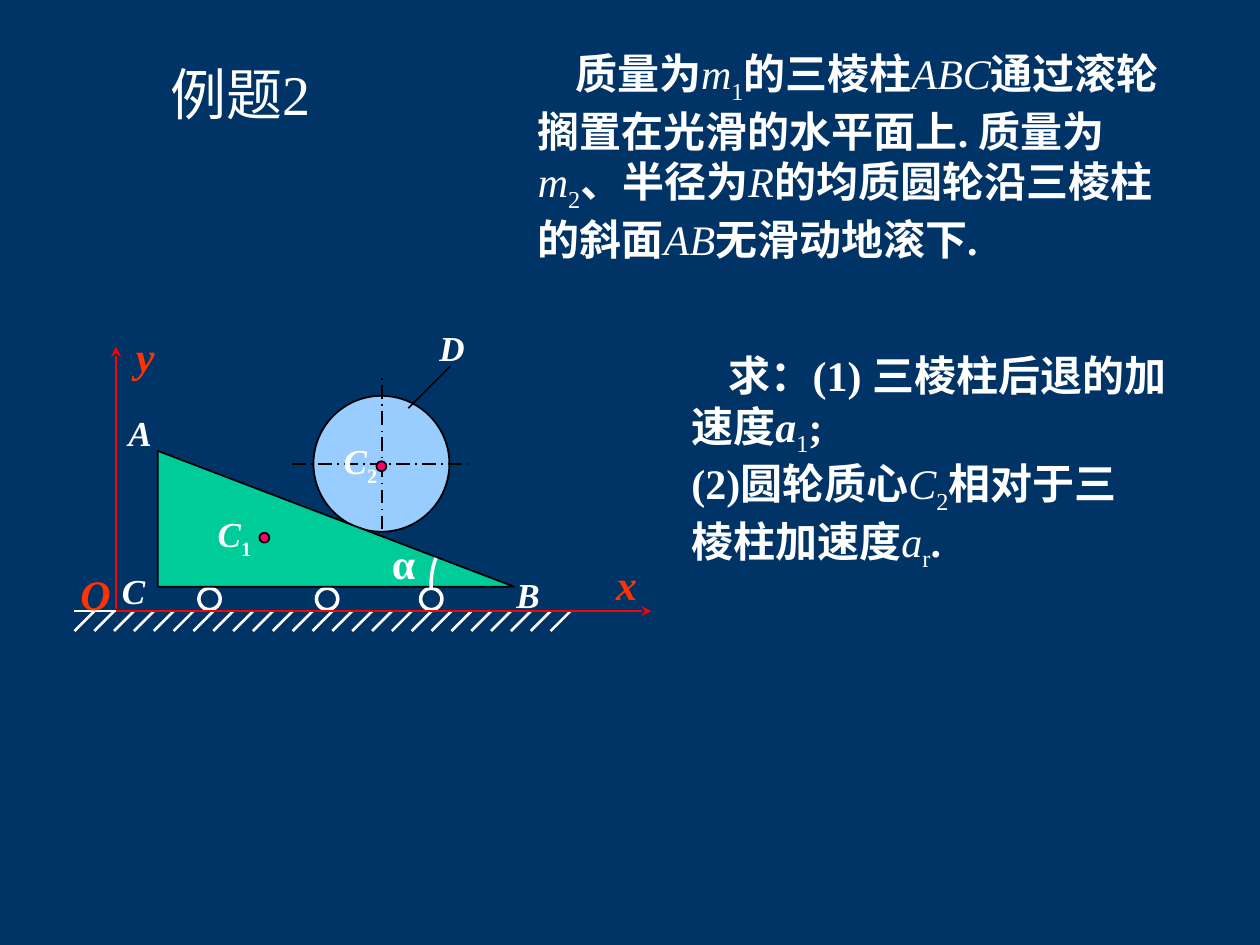
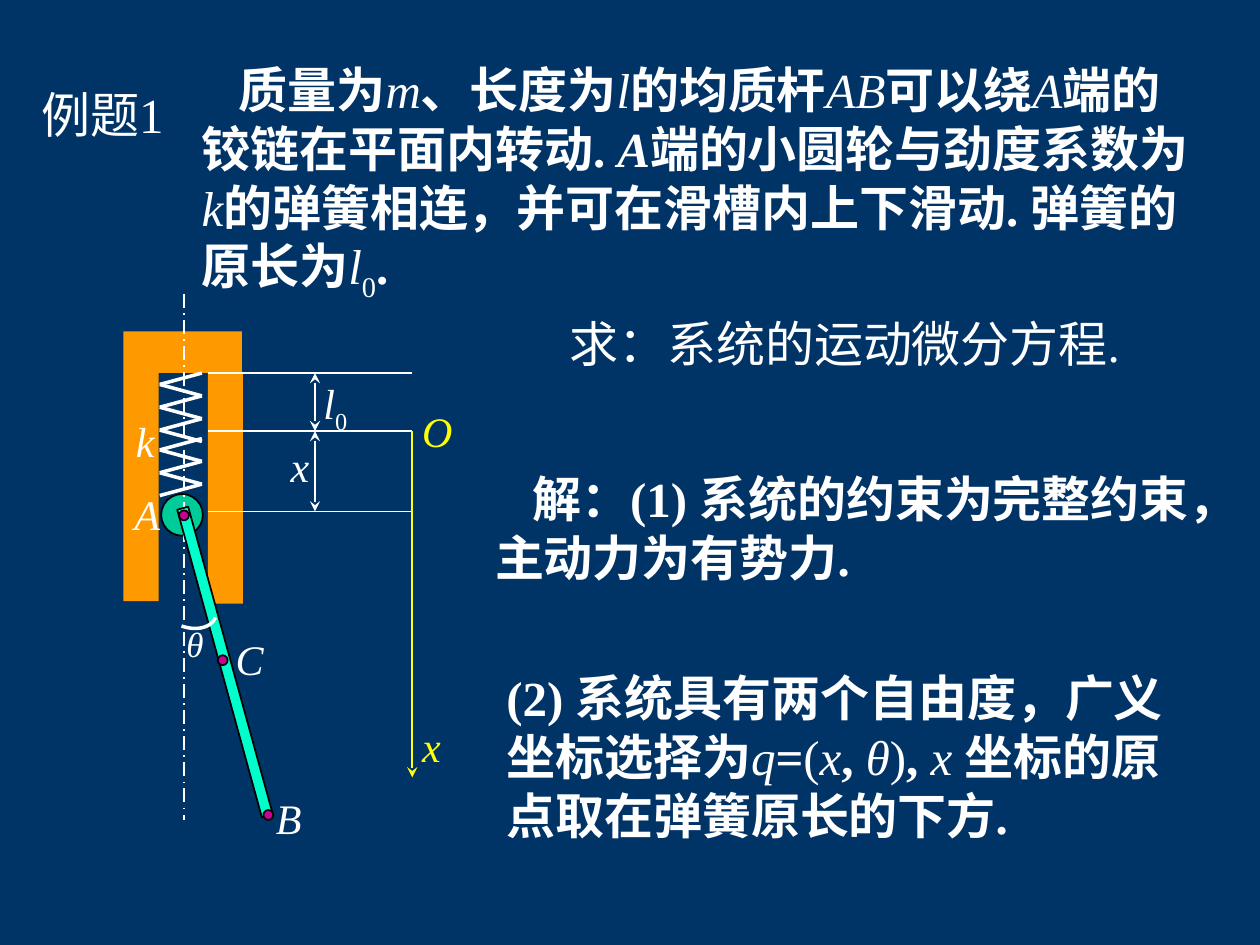
from lxml.etree import SubElement
from pptx import Presentation
from pptx.dml.color import RGBColor
from pptx.enum.dml import MSO_LINE
from pptx.enum.shapes import MSO_CONNECTOR, MSO_SHAPE
from pptx.enum.text import MSO_ANCHOR, MSO_AUTO_SIZE, PP_ALIGN
from pptx.oxml.ns import qn
from pptx.util import Cm, Pt

FONT = "Times New Roman"
COLORS = {
    "back": "003366", "white": "FFFFFF", "black": "000000", "red": "FF0000",
    "orange_red": "FF3300", "sky": "99CCFF", "green": "00CC99",
    "pink": "FF0066", "orange": "FF9900", "yellow": "FFFF00",
    "aqua": "00FFCC", "magenta": "CC0099",
}
FIRST_LINE = 0.75

# Content: a paragraph is a list of (text, style); b bold, i italic, s subscript
WEDGE = {
    "title": "例题2", "title_size": 32, "title_box": (3.18, 1.07, 3.35, 1.63),
    "size": 24, "body_box": (10.59, 0.84, 13.13, 4.37),
    "body": [[
        ("质量为", "b"), ("m", "i"), ("1", "s"), ("的三棱柱", "b"), ("ABC", "i"),
        ("通过滚轮搁置在光滑的水平面上. 质量为", "b"), ("m", "i"), ("2", "s"),
        ("、半径为", "b"), ("R", "i"), ("的均质圆轮沿三棱柱的斜面", "b"),
        ("AB", "i"), ("无滑动地滚下.", "b")]],
    "texts": [
        ((13.69, 6.93, 10.31, 4.37), FIRST_LINE, [
            [("求：(1) 三棱柱后退的加", "b")],
            [("速度", "b"), ("a", "bi"), ("1", "s"), (";", "b")],
            [("(2)圆轮质心", "b"), ("C", "i"), ("2", "s"), ("相对于三", "b")],
            [("棱柱加速度", "b"), ("a", "i"), ("r", "s"), (".", "b")]]),
    ],
    # x, y, size, color, runs
    "labels": [
        (12.17, 11.13, 24, "orange_red", [("x", "bi")]),
        (2.49, 6.53, 24, "orange_red", [("y", "bi")]),
        (1.37, 11.33, 24, "orange_red", [("O", "bi")]),
        (6.68, 8.74, 20, "white", [("C", "bi"), ("2", "bs")]),
        (4.14, 10.21, 20, "white", [("C", "bi"), ("1", "bs")]),
        (8.61, 6.45, 20, "white", [("D", "bi")]),
        (2.34, 8.18, 20, "white", [("A", "bi")]),
        (2.21, 11.35, 20, "white", [("C", "bi")]),
        (10.16, 11.43, 20, "white", [("B", "bi")]),
        (7.65, 10.72, 24, "white", [("α", "b")]),
    ],
}
PENDULUM = {
    "title": "例题1", "title_size": 28, "title_box": (0.58, 1.57, 3.0, 1.45),
    "size": 28, "body_box": (3.81, 1.07, 20.52, 5.0),
    "body": [[
        ("质量为", "b"), ("m", "i"), ("、长度为", "b"), ("l", "i"),
        ("的均质杆", "b"), ("AB", "i"), ("可以绕", "b"), ("A", "i"),
        ("端的铰链在平面内转动. ", "b"), ("A", "bi"),
        ("端的小圆轮与劲度系数为", "b"), ("k", "i"),
        ("的弹簧相连，并可在滑槽内上下滑动. 弹簧的原长为", "b"),
        ("l", "i"), ("0", "s"), (".", "b")]],
    "texts": [
        ((11.23, 6.2, 11.73, 1.45), 0, [[("求：系统的运动微分方程.", "")]]),
        ((9.73, 9.32, 15.04, 2.62), FIRST_LINE,
         [[("解：(1) 系统的约束为完整约束，主动力为有势力.", "b")]]),
        ((9.96, 13.34, 14.61, 3.81), 0, [[
            ("(2) 系统具有两个自由度，广义坐标选择为", "b"), ("q", "i"),
            ("=", "b"), ("(", ""), ("x", "i"), (", ", "b"), ("θ", "i"),
            (")", ""), (", ", "b"), ("x ", "i"),
            ("坐标的原点取在弹簧原长的下方.", "b")]]),
    ],
    "labels": [
        (3.51, 12.42, 20, "white", [("θ", "i")]),
        (8.26, 14.4, 24, "yellow", [("x", "i")]),
        (8.26, 8.05, 24, "yellow", [("O", "i")]),
        (5.61, 8.76, 24, "white", [("x", "i")]),
        (6.27, 7.49, 24, "white", [("l", "i"), ("0", "s")]),
        (2.46, 9.73, 24, "white", [("A", "i")]),
        (5.31, 15.85, 24, "white", [("B", "i")]),
        (4.5, 12.65, 24, "white", [("C", "i")]),
        (2.49, 8.26, 24, "white", [("k", "i")]),
    ],
}


def rgb(name):
    return RGBColor.from_string(COLORS[name])


def place(sp, box):
    sp.left, sp.top, sp.width, sp.height = (Cm(v) for v in box)


def write(sp, paragraphs, size=24, color="white", indent=0):
    """Fill a text frame; indent applies to the first line of the first paragraph."""
    tf = sp.text_frame
    tf.word_wrap = True
    tf.auto_size = MSO_AUTO_SIZE.NONE
    tf.vertical_anchor = MSO_ANCHOR.TOP
    for n, runs in enumerate(paragraphs):
        p = tf.add_paragraph() if n else tf.paragraphs[0]
        pPr = p._p.get_or_add_pPr()
        pPr.set("marL", "0")
        pPr.set("indent", str(0 if n else Cm(indent)))
        SubElement(pPr, qn("a:buNone"))
        p.alignment = PP_ALIGN.LEFT
        p.space_before = Pt(0)
        for text, style in runs:
            r = p.add_run()
            r.text = text
            r.font.name, r.font.size = FONT, Pt(size)
            r.font.bold, r.font.italic = "b" in style, "i" in style
            r.font.color.rgb = rgb(color)
            if "s" in style:
                r._r.get_or_add_rPr().set("baseline", "-25000")


def outline(sp, color, width):
    if color:
        sp.line.color.rgb = rgb(color)
        sp.line.width = Pt(width)
    else:
        sp.line.fill.background()


def shape(s, kind, box, fill=None, color="black", width=1, rotation=0):
    sp = s.shapes.add_shape(kind, *(Cm(v) for v in box))
    sp.shadow.inherit = False
    sp.rotation = rotation
    if fill:
        sp.fill.solid()
        sp.fill.fore_color.rgb = rgb(fill)
    else:
        sp.fill.background()
    outline(sp, color, width)


def circle(s, x, y, d, fill=None, **fmt):
    shape(s, MSO_SHAPE.OVAL, (x, y, d, d), fill, **fmt)


def line(s, start, end, color="white", width=1, dash=False, arrows=()):
    ends = (Cm(v) for v in start + end)
    c = s.shapes.add_connector(MSO_CONNECTOR.STRAIGHT, *ends)
    outline(c, color, width)
    if dash:
        c.line.dash_style = MSO_LINE.LONG_DASH_DOT
    for tag in arrows:
        SubElement(c.line._get_or_add_ln(), qn(f"a:{tag}"), type="stealth")
    SubElement(c._element.spPr, qn("a:effectLst"))


def angle_arc(s, p0, p1, p2, p3, steps=16):
    """Draw a white cubic curve as a fine open outline."""
    def at(t):
        weights = ((1 - t) ** 3, 3 * t * (1 - t) ** 2, 3 * t * t * (1 - t), t ** 3)
        return tuple(Cm(sum(w * p[k] for w, p in zip(weights, (p0, p1, p2, p3))))
                     for k in (0, 1))
    fb = s.shapes.build_freeform(*at(0))
    fb.add_line_segments([at(n / steps) for n in range(1, steps + 1)], close=False)
    sp = fb.convert_to_shape()
    sp.shadow.inherit = False
    sp.fill.background()
    outline(sp, "white", 2)


def draw_wedge(s):
    ground, tail = 12.32, ("tailEnd",)
    # Wheels and vertical axis
    for x in (4.01, 6.38, 8.48):
        circle(s, x, 11.86, 0.43, color="white", width=2)
    line(s, (2.34, 12.27), (2.34, 6.99), "red", 1.5, arrows=tail)
    # Disc with centre lines and pointer
    circle(s, 6.32, 7.98, 2.74, "sky")
    line(s, (5.89, 9.35), (9.5, 9.35), "black", dash=True)
    line(s, (7.7, 11.2), (7.7, 7.59), "black", dash=True)
    line(s, (8.23, 8.23), (9.07, 7.39), "black")
    # Wedge and centres of mass
    shape(s, MSO_SHAPE.RIGHT_TRIANGLE, (3.18, 9.09, 7.19, 2.74), "green")
    for x, y in ((7.59, 9.3), (5.23, 10.74)):
        circle(s, x, y, 0.2, "pink")
    # Hatched ground, angle and horizontal axis
    line(s, (1.5, ground), (11.91, ground), width=1.5)
    for n in range(25):
        x = 1.5 + 0.4 * n
        line(s, (x + 0.4, ground), (x, ground + 0.4), width=1.5)
    angle_arc(s, (8.79, 11.25), (8.71, 11.45), (8.69, 11.65), (8.69, 11.86))
    line(s, (2.34, ground), (13.13, ground), "red", 1.5, arrows=tail)


def draw_pendulum(s):
    top, origin, roller = 7.52, 8.69, 10.31
    # Slot walls
    for box in ((2.49, top, 0.71, 4.6), (2.49, 6.68, 2.39, 0.84),
                (4.19, top, 0.71, 4.65)):
        shape(s, MSO_SHAPE.RECTANGLE, box, "orange", color=None)
    # Spring in two overlapping coils
    sides, pitch = (4.07, 3.22), 0.23
    for y, turns in ((top, 6), (8.84, 5)):
        for n in range(turns):
            line(s, (sides[n % 2], y + n * pitch),
                 (sides[(n + 1) % 2], y + (n + 1) * pitch), width=2)
    # Roller and vertical centre line
    circle(s, 3.25, 9.96, 0.84, "green")
    line(s, (3.71, 5.92), (3.71, 16.54), dash=True)
    # Levels, dimensions and axis
    for y in (top, origin, roller):
        line(s, (4.19, y), (8.31, y))
    for y1, y2 in ((top, origin), (origin, roller)):
        line(s, (6.35, y1), (6.35, y2), arrows=("headEnd", "tailEnd"))
    line(s, (8.31, origin), (8.31, 15.67), "yellow", arrows=("tailEnd",))
    # Rod with pins and angle
    shape(s, MSO_SHAPE.RECTANGLE, (1.32, 13.23, 6.43, 0.23), "aqua", rotation=74.6)
    for x, y in ((3.61, 10.29), (4.39, 13.21), (5.31, 16.33)):
        circle(s, x, y, 0.2, "magenta")
    angle_arc(s, (3.66, 12.62), (3.96, 12.73), (4.27, 12.65), (4.34, 12.45))


def add_example(prs, content, draw):
    s = prs.slides.add_slide(prs.slide_layouts[1])
    title, body = s.placeholders
    place(title, content["title_box"])
    write(title, [[(content["title"], "")]], size=content["title_size"])
    place(body, content["body_box"])
    write(body, content["body"], size=content["size"], indent=FIRST_LINE)
    for box, indent, paragraphs in content["texts"]:
        sp = s.shapes.add_textbox(*(Cm(v) for v in box))
        write(sp, paragraphs, size=content["size"], indent=indent)
    draw(s)
    for x, y, size, color, runs in content["labels"]:
        sp = s.shapes.add_textbox(Cm(x), Cm(y), Cm(1.4), Cm(1.27))
        write(sp, [runs], size=size, color=color)


def main():
    prs = Presentation()
    prs.slide_width, prs.slide_height = Cm(25.4), Cm(19.05)
    fill = prs.slide_master.background.fill
    fill.solid()
    fill.fore_color.rgb = rgb("back")
    add_example(prs, WEDGE, draw_wedge)
    add_example(prs, PENDULUM, draw_pendulum)
    prs.save("out.pptx")


if __name__ == "__main__":
    main()
